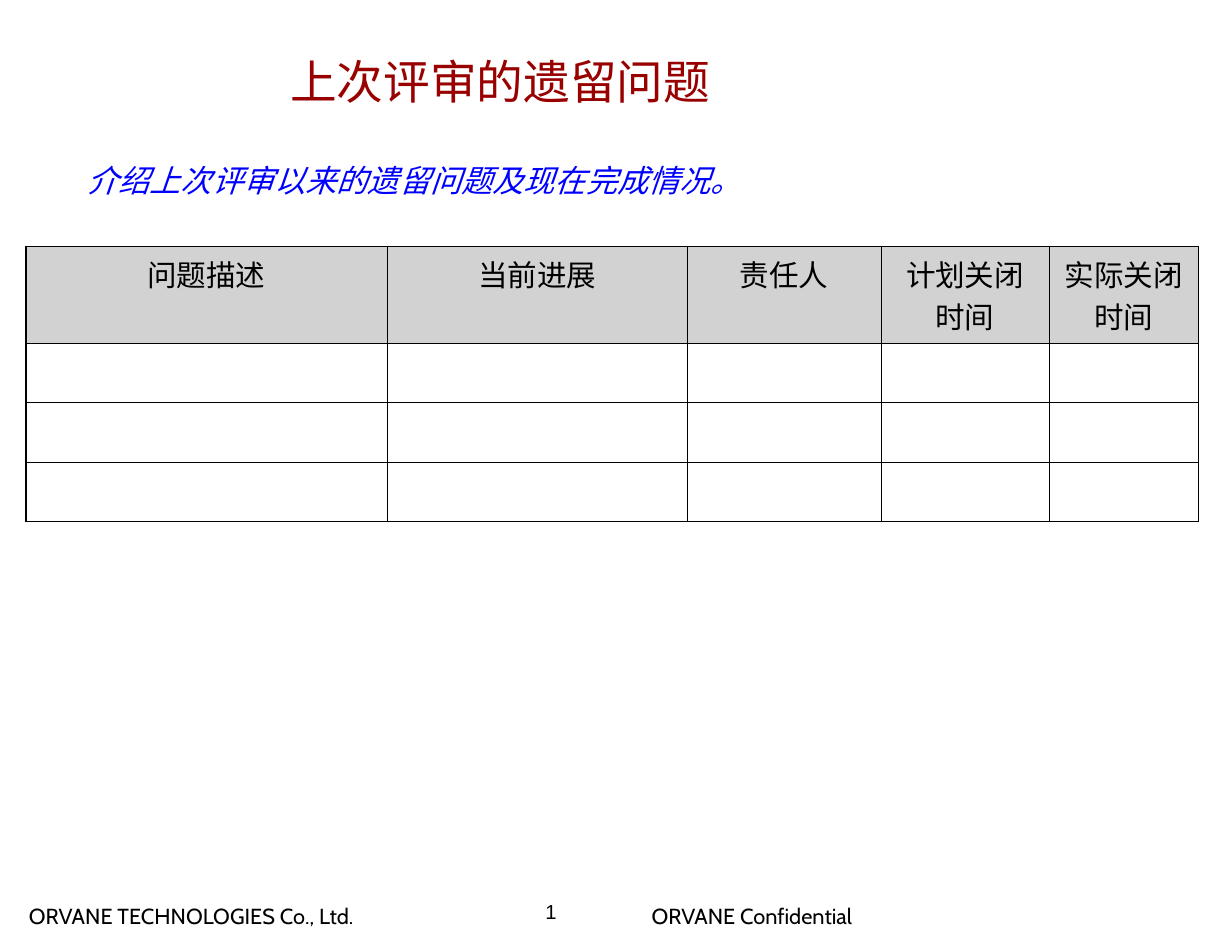
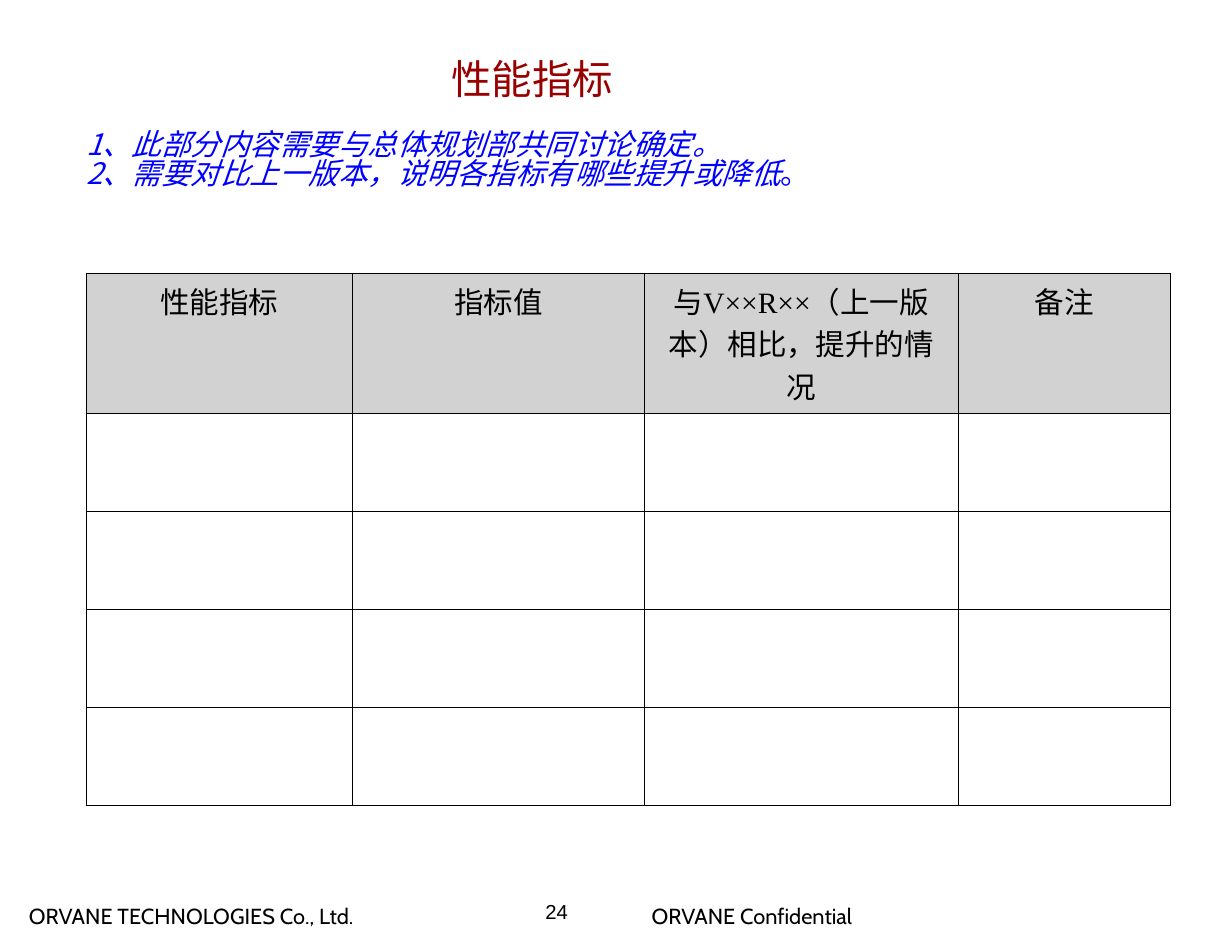
from dataclasses import dataclass

from lxml import etree
from pptx import Presentation
from pptx.dml.color import RGBColor
from pptx.enum import text as text_enum
from pptx.oxml import ns
from pptx.util import Pt

COLORS = {
    "title": "990000",
    "hint": "0000FF",
    "text": "000000",
    "line": "000000",
    "header": "D2D2D2",
}
CJK_FONT = "Noto Sans CJK SC"
TITLE_ONLY = 5
THIN, THICK = 0.45, 1.08


@dataclass
class Box:
    left: float
    top: float
    width: float
    height: float

    def lengths(self) -> tuple:
        return Pt(self.left), Pt(self.top), Pt(self.width), Pt(self.height)


@dataclass
class TextItem:
    box: Box
    text: str
    size: float
    font: str = "Arial"
    color: str = "text"
    italic: bool = False
    upright_end: str = ""
    centered: bool = False
    line_spacing: float = 1.0
    margins: tuple = (0, 0)


@dataclass
class Grid:
    left: float
    top: float
    columns: list
    header_height: float
    row_height: float
    row_count: int
    headers: list
    font: str
    outer_width: float


@dataclass
class ReviewSlide:
    title: TextItem
    hint: TextItem
    grid: Grid
    number: str


FOOTERS = [
    TextItem(Box(11.5, 576.7, 243.4, 23.8), "ORVANE TECHNOLOGIES Co., Ltd.", 14,
             font="Cabin", margins=(7.2, 3.6)),
    TextItem(Box(411.8, 576.7, 163.4, 23.8), "ORVANE Confidential", 14,
             font="Cabin", margins=(7.2, 3.6)),
]
NUMBER_BOX = Box(350.6, 578.2, 17.3, 17.3)

SLIDES = [
    ReviewSlide(
        TextItem(Box(186.5, 39.6, 493.2, 39.6), "上次评审的遗留问题", 30,
                 color="title", line_spacing=0.85),
        TextItem(Box(56.2, 107.3, 634.3, 39.6),
                 "介绍上次评审以来的遗留问题及现在完成情况。", 20,
                 color="hint", italic=True, line_spacing=0.85),
        Grid(16.6, 158.4, [232.2, 193, 124.6, 108, 96.2], 48.2, 38.2, 3,
             ["问题描述", "当前进展", "责任人", "计划关闭时间", "实际关闭时间"],
             "Arial", THICK),
        "1",
    ),
    ReviewSlide(
        TextItem(Box(180.7, 39.6, 323.3, 32.4), "性能指标", 26,
                 color="title", centered=True, line_spacing=0.85),
        TextItem(Box(55.4, 85, 668.2, 51.1),
                 "1、此部分内容需要与总体规划部共同讨论确定。\n"
                 "2、需要对比上一版本，说明各指标有哪些提升或降低", 19,
                 font=CJK_FONT, color="hint", italic=True, upright_end="。",
                 line_spacing=0.82),
        Grid(55.4, 175.7, [171.4, 187.2, 202.3, 136.1], 54, 63.1, 4,
             ["性能指标", "指标值", "与V××R××（上一版本）相比，提升的情况", "备注"],
             "Times New Roman", THIN),
        "24",
    ),
]


def write_text(frame, text: str, *, size: float, font: str, color: str = "text",
               italic: bool = False, upright_end: str = "",
               centered: bool = False, line_spacing: float = 1.0) -> None:
    lines = text.split("\n")
    align = text_enum.PP_ALIGN
    for index, line in enumerate(lines):
        paragraph = frame.add_paragraph() if index else frame.paragraphs[0]
        paragraph.alignment = align.CENTER if centered else align.LEFT
        paragraph.line_spacing = line_spacing
        parts = [(line, italic)]
        if upright_end and index == len(lines) - 1:
            parts.append((upright_end, False))
        for part, slanted in parts:
            run = paragraph.add_run()
            run.text = part
            run.font.size = Pt(size)
            run.font.name = font
            run.font.italic = slanted
            run.font.color.rgb = RGBColor.from_string(COLORS[color])
            east_asian = etree.SubElement(run.font._element, ns.qn("a:ea"))
            east_asian.set("typeface", CJK_FONT)


def fill_shape(shape, item: TextItem) -> None:
    shape.left, shape.top, shape.width, shape.height = item.box.lengths()
    frame = shape.text_frame
    frame.word_wrap = True
    frame.auto_size = text_enum.MSO_AUTO_SIZE.NONE
    frame.vertical_anchor = text_enum.MSO_ANCHOR.TOP
    horizontal, vertical = item.margins
    frame.margin_left = frame.margin_right = Pt(horizontal)
    frame.margin_top = frame.margin_bottom = Pt(vertical)
    write_text(frame, item.text, size=item.size, font=item.font, color=item.color,
               italic=item.italic, upright_end=item.upright_end,
               centered=item.centered, line_spacing=item.line_spacing)


def add_text(slide, item: TextItem) -> None:
    fill_shape(slide.shapes.add_textbox(*item.box.lengths()), item)


def set_borders(cell, widths: dict) -> None:
    """Put the edge lines ahead of the cell fill, as the schema asks."""
    properties = cell._tc.get_or_add_tcPr()
    for position, (edge, width) in enumerate(widths.items()):
        line = etree.Element(ns.qn(f"a:ln{edge}"), w=str(int(Pt(width))))
        fill = etree.SubElement(line, ns.qn("a:solidFill"))
        etree.SubElement(fill, ns.qn("a:srgbClr"), val=COLORS["line"])
        properties.insert(position, line)


def add_grid(slide, grid: Grid) -> None:
    heights = [grid.header_height] + [grid.row_height] * grid.row_count
    box = Box(grid.left, grid.top, sum(grid.columns), sum(heights))
    table = slide.shapes.add_table(len(heights), len(grid.columns),
                                   *box.lengths()).table
    table.horz_banding = False
    for column, width in zip(table.columns, grid.columns):
        column.width = Pt(width)
    for row, height in zip(table.rows, heights):
        row.height = Pt(height)
    last_row, last_column = len(heights) - 1, len(grid.columns) - 1
    for row_index, row in enumerate(table.rows):
        for column_index, cell in enumerate(row.cells):
            if row_index == 0:
                cell.fill.solid()
                cell.fill.fore_color.rgb = RGBColor.from_string(COLORS["header"])
                write_text(cell.text_frame, grid.headers[column_index], size=19,
                           font=grid.font, centered=True)
            else:
                cell.fill.background()
            outer = {"L": column_index == 0, "R": column_index == last_column,
                     "T": row_index == 0, "B": row_index == last_row}
            set_borders(cell, {edge: grid.outer_width if is_outer else THIN
                               for edge, is_outer in outer.items()})


def add_review_slide(presentation, content: ReviewSlide) -> None:
    slide = presentation.slides.add_slide(presentation.slide_layouts[TITLE_ONLY])
    for footer in FOOTERS:
        add_text(slide, footer)
    fill_shape(slide.shapes.title, content.title)
    add_text(slide, content.hint)
    add_grid(slide, content.grid)
    add_text(slide, TextItem(NUMBER_BOX, content.number, 13))


def main() -> None:
    presentation = Presentation()
    presentation.slide_width, presentation.slide_height = Pt(792), Pt(612)
    for content in SLIDES:
        add_review_slide(presentation, content)
    presentation.save("out.pptx")


if __name__ == "__main__":
    main()
